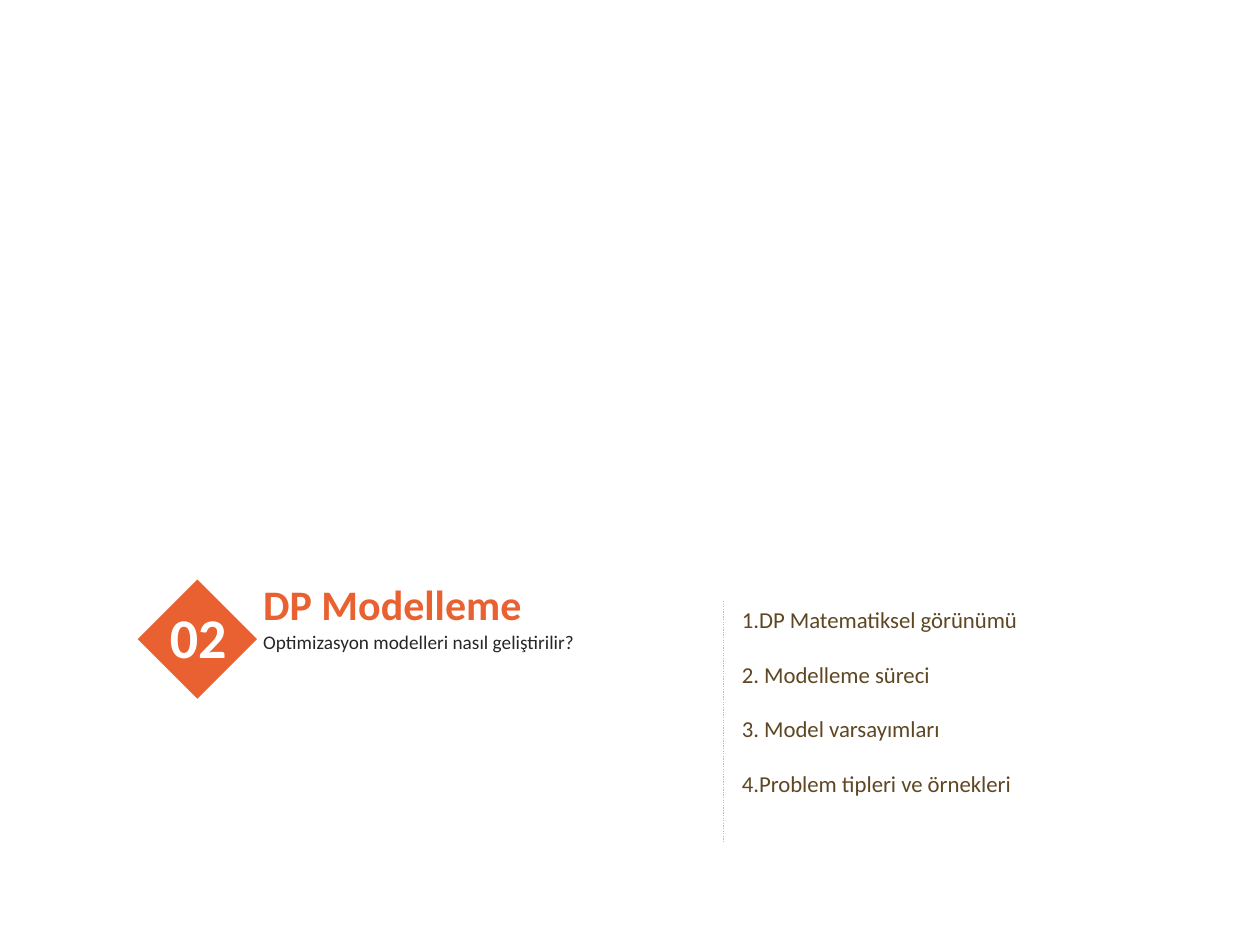
import lxml.etree
import pptx
import pptx.dml.color
import pptx.enum.dml
import pptx.enum.shapes
import pptx.enum.text
import pptx.oxml.ns
import pptx.util

Pt = pptx.util.Pt


def color(hex_string):
    return pptx.dml.color.RGBColor.from_string(hex_string)


def add_text(slide, box, lines, size, hex_string, bold=False, spacing=None, numbered=False):
    shape = slide.shapes.add_textbox(*[Pt(length) for length in box])
    text_frame = shape.text_frame
    text_frame.word_wrap = True
    text_frame.auto_size = pptx.enum.text.MSO_AUTO_SIZE.SHAPE_TO_FIT_TEXT
    text_frame.text = "\n".join(lines)
    for paragraph in text_frame.paragraphs:
        if numbered:
            properties = paragraph._p.get_or_add_pPr()
            properties.set("marL", "0")
            properties.set("indent", str(-Pt(18)))
            number = lxml.etree.SubElement(properties, pptx.oxml.ns.qn("a:buAutoNum"))
            number.set("type", "arabicPeriod")
        if spacing:
            paragraph.line_spacing = spacing
        for run in paragraph.runs:
            run.font.name = "Calibri"
            run.font.size = Pt(size)
            run.font.bold = bold
            run.font.color.rgb = color(hex_string)
    return shape


presentation = pptx.Presentation()
presentation.slide_width = Pt(720)
presentation.slide_height = Pt(540)
slide = presentation.slides.add_slide(presentation.slide_layouts[6])

# Numbered topics
topics = [
    "DP Matematiksel görünümü",
    " Modelleme süreci",
    " Model varsayımları",
    "Problem tipleri ve örnekleri",
]
add_text(slide, (416.9, 326.9, 236, 129), topics, 13, "5E4722", spacing=2.0, numbered=True)

# Section diamond
diamond = slide.shapes.add_shape(
    pptx.enum.shapes.MSO_SHAPE.RECTANGLE, Pt(88.7), Pt(341.2), Pt(48.2), Pt(48.2))
diamond.rotation = 45
diamond.shadow.inherit = False
diamond.fill.solid()
diamond.fill.fore_color.rgb = color("EA6131")
diamond.line.fill.background()

# Section title, number and question
add_text(slide, (143.3, 326.9, 226, 36), ["DP Modelleme"], 24, "EA6131", bold=True)
section_number = add_text(slide, (90, 340.6, 47.5, 46), ["02"], 32, "FFFFFF", bold=True)
section_number.text_frame.word_wrap = False
add_text(slide, (143.3, 357.8, 213, 19.4), ["Optimizasyon modelleri nasıl geliştirilir?"],
         11, "262626", spacing=Pt(12))

# Dotted divider
divider = slide.shapes.add_connector(
    pptx.enum.shapes.MSO_CONNECTOR.STRAIGHT, Pt(413.3), Pt(343.4), Pt(413.3), Pt(481.7))
divider.line.color.rgb = color("BFBFBF")
divider.line.width = Pt(0.75)
divider.line.dash_style = pptx.enum.dml.MSO_LINE.ROUND_DOT
lxml.etree.SubElement(divider._element.spPr, pptx.oxml.ns.qn("a:effectLst"))

presentation.save("out.pptx")
